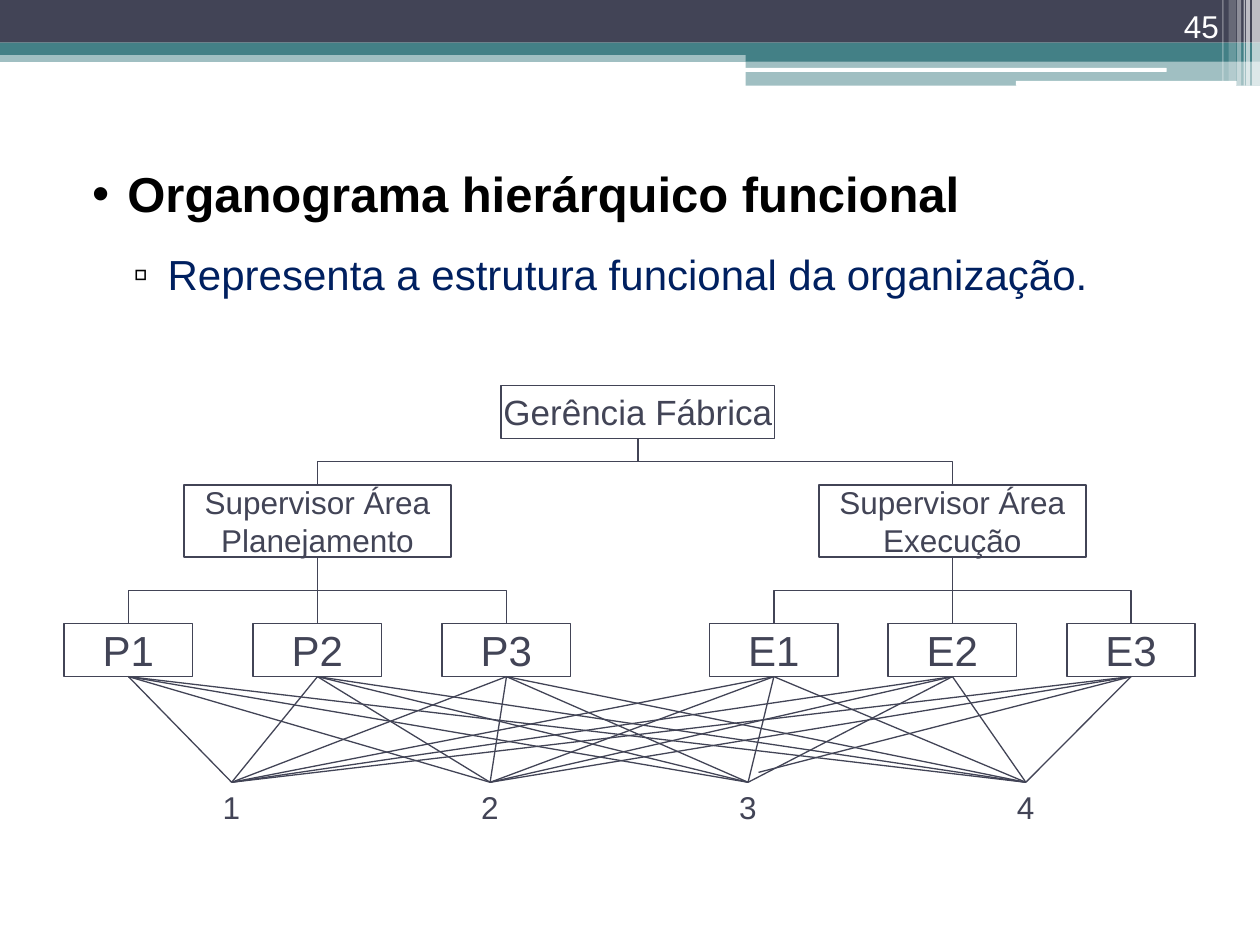
from typing import NamedTuple

import pptx
import pptx.dml.color
import pptx.enum.shapes
import pptx.enum.text
import pptx.oxml.ns
import pptx.util
from lxml import etree
from pptx.util import Cm

SHAPE = pptx.enum.shapes.MSO_SHAPE
LINK = pptx.enum.shapes.MSO_CONNECTOR
ALIGN = pptx.enum.text.PP_ALIGN
ANCHOR = pptx.enum.text.MSO_ANCHOR
qn = pptx.oxml.ns.qn

FONT = "Arial"
DARK, TEAL, WHITE, BLACK, NAVY = "424456", "438086", "FFFFFF", "000000", "002060"


class Band(NamedTuple):
    left: float
    top: float
    width: float
    height: float
    color: str
    alpha: int = 100
    kind: int = SHAPE.RECTANGLE


class Box(NamedTuple):
    text: str
    center: float
    top: float
    width: float
    height: float
    size: int
    wrap: bool = False

    @property
    def bottom(self) -> float:
        return self.top + self.height


class Bullet(NamedTuple):
    text: str
    char: str
    level: int
    margin: float
    hang: float
    before: float
    size: int
    color: str
    bold: bool


def rgb(color: str):
    return pptx.dml.color.RGBColor.from_string(color)


def add_text(p, text: str, *, size: int, color: str = DARK, bold: bool = False,
             align=None) -> None:
    p.alignment = align
    r = p.add_run()
    r.text = text
    r.font.name, r.font.size, r.font.bold = FONT, pptx.util.Pt(size), bold
    r.font.color.rgb = rgb(color)


def add_textbox(s, left: float, top: float, width: float, height: float, wrap: bool = True):
    tf = s.shapes.add_textbox(Cm(left), Cm(top), Cm(width), Cm(height)).text_frame
    tf.word_wrap = wrap
    return tf


def add_band(s, b: Band) -> None:
    sp = s.shapes.add_shape(b.kind, Cm(b.left), Cm(b.top), Cm(b.width), Cm(b.height))
    sp.shadow.inherit = False
    sp.line.fill.background()
    sp.fill.solid()
    sp.fill.fore_color.rgb = rgb(b.color)
    if b.alpha < 100:
        clr = sp._element.spPr.find(".//" + qn("a:srgbClr"))
        etree.SubElement(clr, qn("a:alpha")).set("val", str(b.alpha * 1000))


def add_box(s, b: Box) -> None:
    sp = s.shapes.add_shape(SHAPE.RECTANGLE, Cm(b.center - b.width / 2), Cm(b.top),
                            Cm(b.width), Cm(b.height))
    sp.shadow.inherit = False
    sp.fill.background()
    sp.line.color.rgb = rgb(DARK)
    sp.line.width = pptx.util.Pt(1)
    tf = sp.text_frame
    tf.word_wrap = b.wrap
    tf.vertical_anchor = ANCHOR.MIDDLE
    add_text(tf.paragraphs[0], b.text, size=b.size, align=ALIGN.CENTER)


def add_line(s, x1: float, y1: float, x2: float, y2: float, kind=LINK.STRAIGHT):
    cx = s.shapes.add_connector(kind, Cm(x1), Cm(y1), Cm(x2), Cm(y2))
    cx.line.color.rgb = rgb(DARK)
    cx.line.width = pptx.util.Pt(0.75)
    etree.SubElement(cx._element.spPr, qn("a:effectLst"))
    return cx


def add_branch(s, parent: Box, child: Box) -> None:
    """Join parent to child: down, across, down."""
    x1, y1, x2, y2 = parent.center, parent.bottom, child.center, child.top
    if x1 == x2:
        add_line(s, x1, y1, x2, y2)
        return
    # An elbow runs sideways first, so it is laid on its side and turned
    mx, my = (x1 + x2) / 2, (y1 + y2) / 2
    half_w, half_h = (y2 - y1) / 2, abs(x2 - x1) / 2
    turn = 90
    if x2 > x1:
        half_w, turn = -half_w, 270
    cx = add_line(s, mx - half_w, my - half_h, mx + half_w, my + half_h, LINK.ELBOW)
    cx._element.spPr.find(qn("a:xfrm")).set("rot", str(turn * 60000))


def add_bullet(p, b: Bullet) -> None:
    p.level = b.level
    pPr = p._p.get_or_add_pPr()
    pPr.set("marL", str(Cm(b.margin)))
    pPr.set("indent", str(Cm(-b.hang)))
    clr = etree.SubElement(pPr, qn("a:buClr"))
    etree.SubElement(clr, qn("a:srgbClr")).set("val", BLACK)
    etree.SubElement(pPr, qn("a:buFont")).set("typeface", FONT)
    etree.SubElement(pPr, qn("a:buChar")).set("char", b.char)
    p.space_before = pptx.util.Pt(b.before)
    add_text(p, b.text, size=b.size, color=b.color, bold=b.bold)


BANDS = [
    Band(0, 1.02, 25.4, 0.23, TEAL, 50),
    Band(0, 0, 25.4, 0.86, DARK),
    Band(0, 0.86, 25.4, 0.25, TEAL),
    Band(15.03, 0.99, 10.37, 0.25, TEAL),
    Band(15.03, 1.23, 10.37, 0.5, TEAL, 50),
    Band(15.01, 1.37, 8.51, 0.08, WHITE, kind=SHAPE.ROUNDED_RECTANGLE),
    Band(20.48, 1.63, 4.45, 0.1, WHITE, kind=SHAPE.ROUNDED_RECTANGLE),
    # Thin vertical stripes at the right edge
    Band(25.24, 0, 0.16, 1.73, WHITE, 65),
    Band(25.12, 0, 0.08, 1.73, WHITE, 65),
    Band(25.07, 0, 0.03, 1.73, WHITE, 60),
    Band(24.94, 0, 0.08, 1.73, WHITE, 40),
    Band(24.77, 0, 0.15, 1.63, WHITE, 20),
    Band(24.64, 0, 0.03, 1.63, WHITE, 30),
]
BULLETS = [
    Bullet("Organograma hierárquico funcional", "•", 0, 1.02, 0.71, 0, 28, BLACK, True),
    Bullet("Representa a estrutura funcional da organização.", "▫", 1, 1.83, 0.69, 15, 24,
           NAVY, False),
]
MANAGER = Box("Gerência Fábrica", 12.86, 7.77, 5.51, 1.07, 20)
# Area, centre, letter of its team, distance between team members
AREAS = [("Planejamento", 6.4, "P", 3.81), ("Execução", 19.2, "E", 3.6)]
TASKS = {"1": 4.67, "2": 9.88, "3": 15.08, "4": 20.68}
TASK_TOP = 15.77


def main() -> None:
    prs = pptx.Presentation()
    prs.slide_width, prs.slide_height = Cm(25.4), Cm(19.05)
    s = prs.slides.add_slide(prs.slide_layouts[6])

    # Header
    for band in BANDS:
        add_band(s, band)

    # Bulleted text
    tf = add_textbox(s, 1.3, 3.18, 22.86, 4.8)
    for i, bullet in enumerate(BULLETS):
        add_bullet(tf.add_paragraph() if i else tf.paragraphs[0], bullet)

    # Organisation chart
    add_box(s, MANAGER)
    team = []
    for area, center, letter, step in AREAS:
        head = Box(f"Supervisor Área {area}", center, 9.78, 5.38, 1.45, 18, True)
        add_box(s, head)
        add_branch(s, MANAGER, head)
        for n in (1, 2, 3):
            member = Box(f"{letter}{n}", center + (n - 2) * step, 12.57, 2.59, 1.07, 24)
            add_box(s, member)
            add_branch(s, head, member)
            team.append(member)

    # Tasks, each linked to every team member
    for task, x in TASKS.items():
        tf = add_textbox(s, x - 0.43, TASK_TOP, 0.86, 1.02, wrap=False)
        add_text(tf.paragraphs[0], task, size=18)
        for member in team:
            # The E3 line to task 3 stops short
            short = (member.text, task) == ("E3", "3")
            end = (15.29, 15.57) if short else (x, TASK_TOP)
            add_line(s, member.center, member.bottom, *end)

    # Slide number
    tf = add_textbox(s, 22.71, 0, 2.11, 1.02)
    tf.vertical_anchor = ANCHOR.BOTTOM
    add_text(tf.paragraphs[0], "45", size=18, color=WHITE, align=ALIGN.RIGHT)

    prs.save("out.pptx")


if __name__ == "__main__":
    main()
